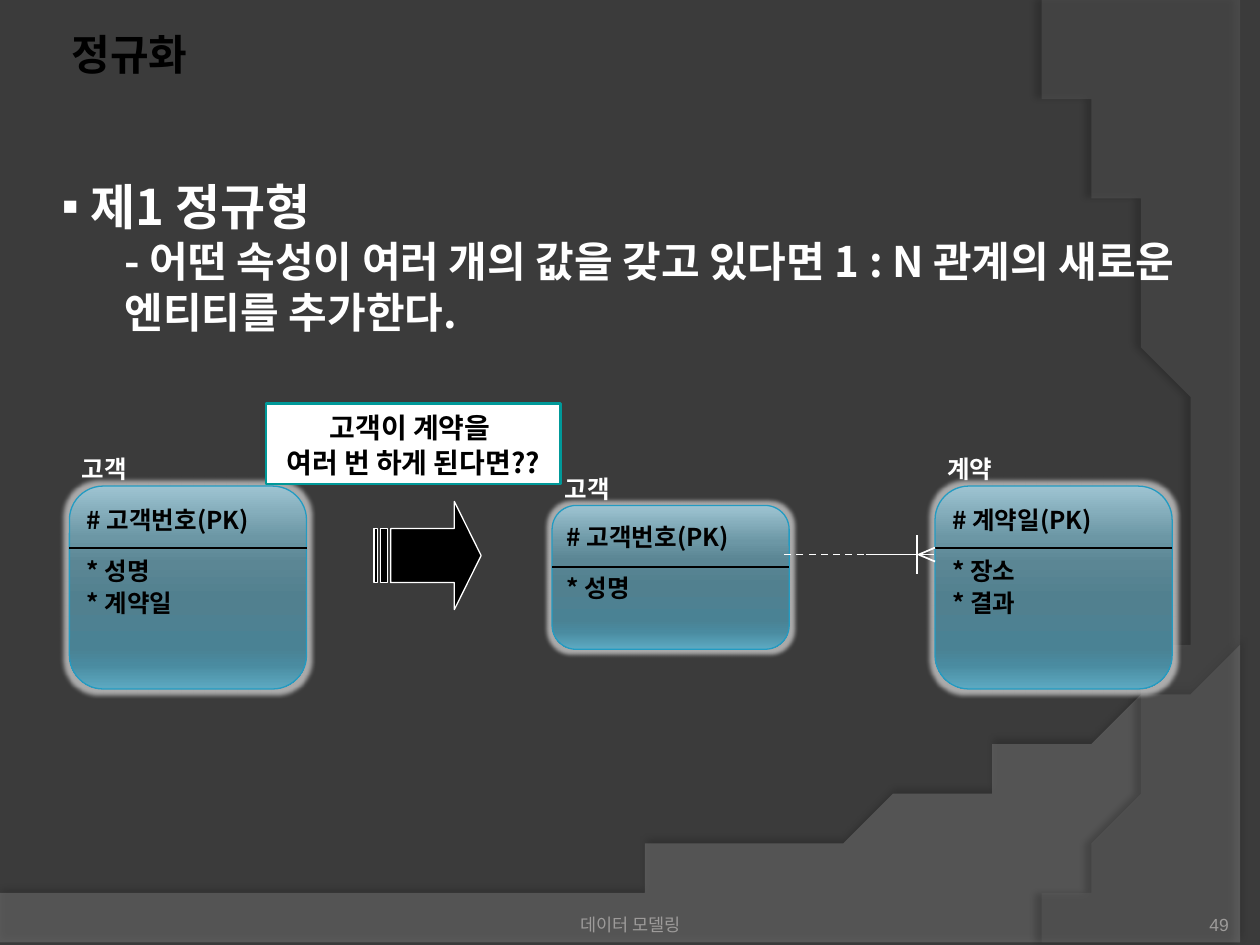
from dataclasses import dataclass

from lxml.etree import SubElement
from pptx import Presentation
from pptx.dml.color import RGBColor
from pptx.enum.dml import MSO_LINE
from pptx.enum.shapes import MSO_CONNECTOR, MSO_SHAPE
from pptx.enum.text import MSO_ANCHOR, MSO_AUTO_SIZE, PP_ALIGN
from pptx.oxml.ns import qn
from pptx.util import Cm, Pt


@dataclass(frozen=True)
class Theme:
    background: str = "3B3B3B"
    swoosh: str = "7F7F7F"
    arc: str = "5E5E5E"
    dark: str = "000000"
    light: str = "FFFFFF"
    muted: str = "9D9B9A"
    title_outline: str = "D5D2CF"
    entity_line: str = "239BC2"
    glow: str = "D0D0D0"
    callout_line: str = "009999"
    gradient: tuple = ((0, "9EC4D2"), (25, "6C97A5"), (38, "5B8694"), (55, "51808F"),
                       (80, "4A8294"), (88, "4A8BA0"), (100, "5DAAC2"))
    korean_font: str = "Noto Sans CJK KR"
    title_font: str = "Cabin"
    footer_font: str = "Arial"
    heading_size: int = 28
    title_size: int = 24
    callout_size: int = 16
    entity_size: int = 14
    footer_size: int = 10


theme = Theme()


def style(paragraphs, size, color, leading=None, font=theme.korean_font, bold=True, align=PP_ALIGN.LEFT):
    for para in paragraphs:
        para.alignment = align
        para.space_before = Pt(0)
        if leading:
            para.line_spacing = Pt(leading)
        for span in para.runs:
            span.font.size = Pt(size)
            span.font.bold = bold
            span.font.color.rgb = RGBColor.from_string(color)
            span.font.name = font
            SubElement(span.font._element, qn("a:ea"), typeface=theme.korean_font)


def draw_line(canvas, start, end, color, width=1):
    line = canvas.add_connector(MSO_CONNECTOR.STRAIGHT, *map(Cm, start + end))
    line.line.color.rgb = RGBColor.from_string(color)
    line.line.width = Pt(width)
    SubElement(line._element.spPr, qn("a:effectLst"))
    return line


deck = Presentation()
deck.slide_width, deck.slide_height = Cm(25.4), Cm(19.05)
page = deck.slides.add_slide(deck.slide_layouts[1])
page.background.fill.solid()
page.background.fill.fore_color.rgb = RGBColor.from_string(theme.background)

backdrops = (
    ([(0, 17.91), (0, 19.05), (25.4, 19.05)],
     [(25.4, 13.21), (14.2, 18.52), (9.93, 18.26), (0, 17.91)], theme.swoosh, 45, 35, 3.5, 270),
    ([(25.4, 0.05), (25.4, 19.05)],
     [(20.85, 19.05), (23.75, 15.72), (25.86, 7.62), (20.32, 0)], theme.arc, 40, 45, 4, 180),
)
for order, (corners, controls, color, opacity, shade, distance, direction) in enumerate(backdrops):
    curve = []
    for step in range(61):
        t = step / 60
        weights = ((1 - t) ** 3, 3 * t * (1 - t) ** 2, 3 * t * t * (1 - t), t ** 3)
        curve.append(tuple(sum(w * point[axis] for w, point in zip(weights, controls)) for axis in (0, 1)))
    builder = page.shapes.build_freeform(*corners[0], scale=Cm(1))
    builder.add_line_segments(corners[1:] + curve, close=True)
    backdrop = builder.convert_to_shape()
    backdrop.fill.solid()
    backdrop.fill.fore_color.rgb = RGBColor.from_string(color)
    backdrop.line.fill.background()
    backdrop.shadow.inherit = False
    properties = backdrop._element.spPr
    SubElement(properties.find(".//" + qn("a:srgbClr")), qn("a:alpha"), val=str(opacity * 1000))
    shadow = SubElement(properties.find(qn("a:effectLst")), qn("a:outerShdw"), blurRad=str(Pt(4)),
                        dist=str(Pt(distance)), dir=str(direction * 60000), algn="ctr", rotWithShape="0")
    tint = SubElement(shadow, qn("a:srgbClr"), val=theme.dark)
    SubElement(tint, qn("a:alpha"), val=str(shade * 1000))
    page.shapes._spTree.insert(2 + order, backdrop._element)

for left, width, text, align in ((8.69, 8.05, "데이터 모델링", PP_ALIGN.CENTER),
                                 (22.66, 2.11, "49", PP_ALIGN.RIGHT)):
    footer = page.shapes.add_textbox(Cm(left), Cm(17.83), Cm(width), Cm(1.02)).text_frame
    footer.margin_left = footer.margin_right = footer.margin_top = footer.margin_bottom = 0
    footer.word_wrap = True
    footer.vertical_anchor = MSO_ANCHOR.BOTTOM
    footer.text = text
    style(footer.paragraphs, theme.footer_size, theme.muted, font=theme.footer_font, bold=False, align=align)

title, body = page.shapes.title, page.placeholders[1]
for holder, text, bounds in (
    (title, "정규화", (1.19, 0.41, 22.71, 1.27)),
    (body, " 제1 정규형\n- 어떤 속성이 여러 개의 값을 갖고 있다면 1 : N 관계의 새로운 엔티티를 추가한다.",
     (0.99, 3.38, 23.62, 3.76)),
):
    holder.left, holder.top, holder.width, holder.height = map(Cm, bounds)
    holder.text_frame.text = text
    holder.text_frame.auto_size = MSO_AUTO_SIZE.NONE
    holder.text_frame.vertical_anchor = MSO_ANCHOR.TOP

style(title.text_frame.paragraphs, theme.title_size, theme.dark, 30, theme.title_font)
outline = SubElement(title.text_frame.paragraphs[0].runs[0].font._element, qn("a:ln"), w=str(Pt(1)))
SubElement(SubElement(outline, qn("a:solidFill")), qn("a:srgbClr"), val=theme.title_outline)
outline.getparent().insert(0, outline)

heading, detail = body.text_frame.paragraphs
detail.level = 1
style([heading], theme.heading_size, theme.light, 35)
style([detail], theme.title_size, theme.light, 29)
for para, indent, bullet in ((heading, 0, "▪"), (detail, 1.27, None)):
    settings = para._p.get_or_add_pPr()
    settings.set("marL", str(Cm(indent)))
    settings.set("indent", "0")
    if bullet:
        SubElement(settings, qn("a:buChar"), char=bullet)
    else:
        SubElement(settings, qn("a:buNone"))

before = page.shapes.add_group_shape().shapes
after = page.shapes.add_group_shape().shapes
entity_width = 4.78
entities = (
    (before, "고객", 1.4, 9.8, 4.09, "# 고객번호(PK)\n* 성명\n* 계약일"),
    (after, "고객", 11.13, 10.19, 2.9, "# 고객번호(PK)\n* 성명"),
    (after, "계약", 18.85, 9.8, 4.09, "# 계약일(PK)\n* 장소\n* 결과"),
)
for canvas, name, left, top, height, attributes in entities:
    box = canvas.add_shape(MSO_SHAPE.FLOWCHART_ALTERNATE_PROCESS,
                           Cm(left), Cm(top), Cm(entity_width), Cm(height))
    box.fill.gradient()
    box.fill.gradient_angle = 270
    stops = box._element.spPr.find(".//" + qn("a:gsLst"))
    for stop in list(stops):
        stops.remove(stop)
    for position, color in theme.gradient:
        stop = SubElement(stops, qn("a:gs"), pos=str(position * 1000))
        SubElement(stop, qn("a:srgbClr"), val=color)
    box.line.color.rgb = RGBColor.from_string(theme.entity_line)
    box.line.width = Pt(0.75)
    box.shadow.inherit = False
    glow = SubElement(box._element.spPr.find(qn("a:effectLst")), qn("a:glow"), rad=str(Pt(5)))
    tint = SubElement(glow, qn("a:srgbClr"), val=theme.glow)
    SubElement(tint, qn("a:alpha"), val="75000")
    frame = box.text_frame
    frame.margin_left = frame.margin_right = frame.margin_top = frame.margin_bottom = Cm(0.15)
    frame.vertical_anchor = MSO_ANCHOR.TOP
    frame.text = attributes
    style(frame.paragraphs, theme.entity_size, theme.dark, 18)
    frame.paragraphs[1].space_before = Pt(11)

    label = canvas.add_textbox(Cm(left), Cm(top - 0.68), Cm(entity_width), Cm(0.61)).text_frame
    label.margin_top = label.margin_bottom = 0
    label.word_wrap = True
    label.text = name
    style(label.paragraphs, theme.entity_size, theme.light, 18, align=PP_ALIGN.JUSTIFY)
    draw_line(canvas, (left, top + 1.24), (left + entity_width, top + 1.24), theme.dark)

axis = 11.18
draw_line(after, (17.42, axis), (15.75, axis), theme.light).line.dash_style = MSO_LINE.DASH
draw_line(after, (17.45, axis), (18.82, axis), theme.light)
for offset in (-0.14, 0.14):
    draw_line(after, (18.52, axis), (18.85, axis + offset), theme.light)
draw_line(after, (18.49, axis - 0.39), (18.49, axis + 0.39), theme.light, 1.25)

arrow = page.shapes.add_shape(MSO_SHAPE.STRIPED_RIGHT_ARROW, Cm(7.54), Cm(10.11), Cm(2.16), Cm(2.18))
arrow.adjustments[0], arrow.adjustments[1] = 0.5, 0.25
callout = page.shapes.add_shape(MSO_SHAPE.RECTANGLE, Cm(5.36), Cm(8.13), Cm(5.94), Cm(1.63))
for shape, fill, line, width in ((arrow, theme.dark, theme.light, 0.75),
                                 (callout, theme.light, theme.callout_line, 1.5)):
    shape.shadow.inherit = False
    shape.fill.solid()
    shape.fill.fore_color.rgb = RGBColor.from_string(fill)
    shape.line.color.rgb = RGBColor.from_string(line)
    shape.line.width = Pt(width)
callout.text_frame.word_wrap = False
callout.text_frame.vertical_anchor = MSO_ANCHOR.TOP
callout.text_frame.text = "고객이 계약을 \v여러 번 하게 된다면??"
style(callout.text_frame.paragraphs, theme.callout_size, theme.dark, 20, align=PP_ALIGN.CENTER)

deck.save("out.pptx")
